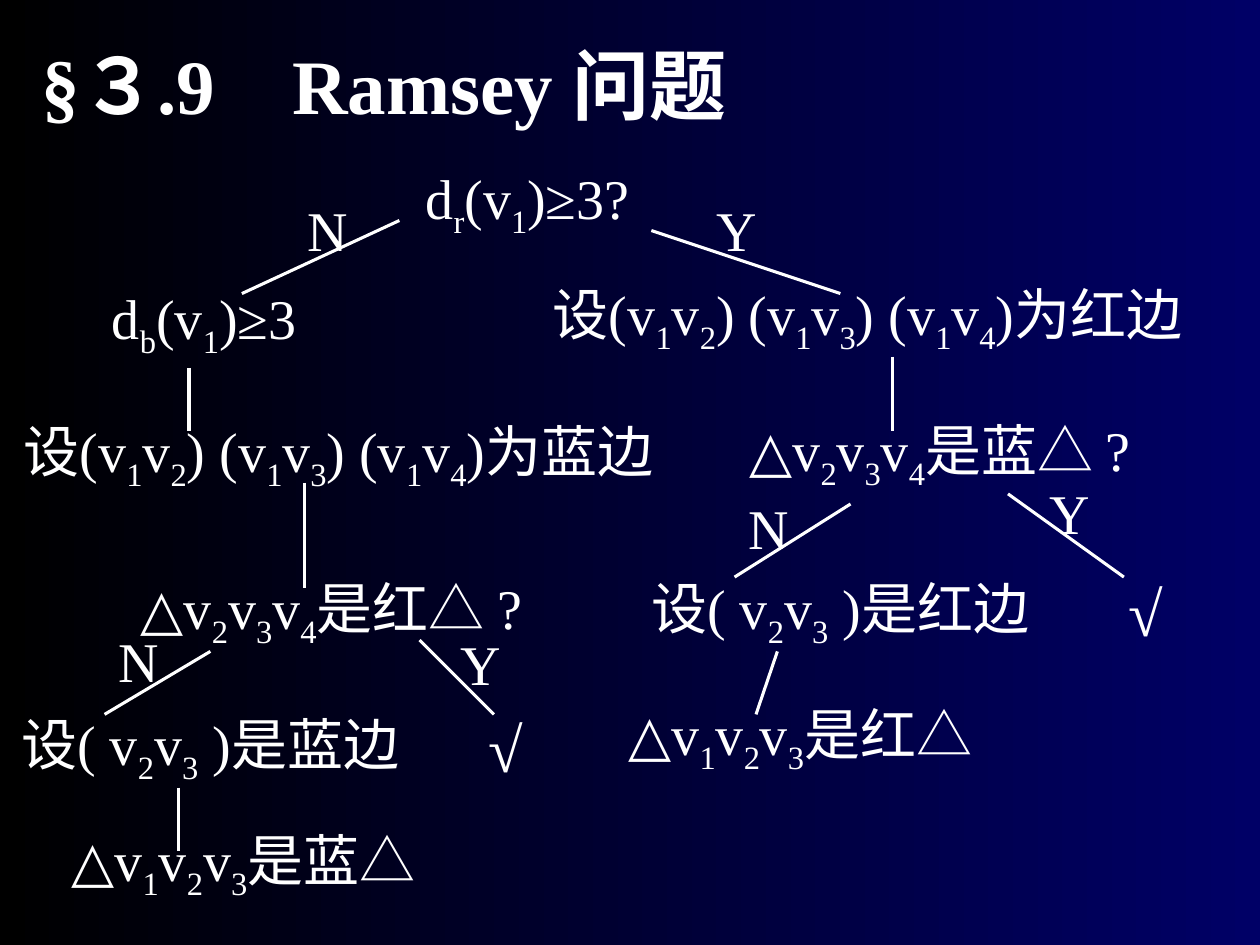
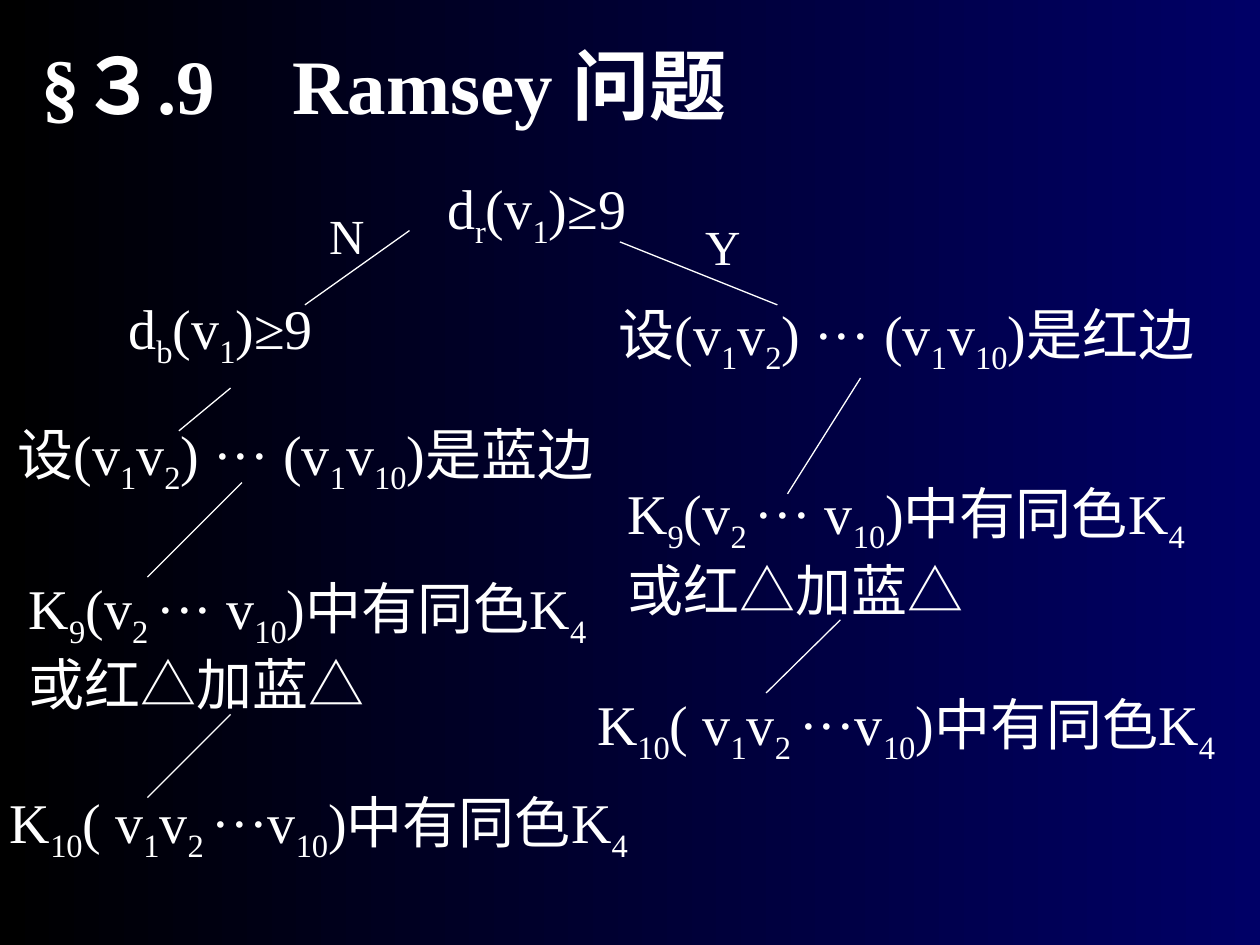
from pptx import Presentation
from pptx.dml.color import RGBColor
from pptx.enum.shapes import MSO_CONNECTOR as Link
from pptx.enum.text import MSO_ANCHOR as Anchor, MSO_AUTO_SIZE as Fit, PP_ALIGN as Align
from pptx.oxml.ns import qn
from pptx.util import Inches, Pt
from lxml import etree

WHITE = RGBColor(0xFF, 0xFF, 0xFF)
NAVY = RGBColor(0x00, 0x00, 0x66)
BLACK = RGBColor(0x00, 0x00, 0x00)
FACE = "Times New Roman"
TITLE = "§３.9　Ramsey 问题"
SLACK = 0.02  # spare width that keeps each label on one line

# Parts as (text, width, height, size); underscores enclose subscripts
ROW, PAIR = 0.71, 1.24
NO, YES = ("N", 0.52, 0.64, 32), ("Y", 0.52, 0.64, 32)
SMALL_NO, SMALL_YES = ("N", 0.48, 0.57, 28), ("Y", 0.48, 0.57, 28)
CHECK = ("√", 0.47, 0.7, 36)


def style(font, size, bold=False):
    font.name, font.size, font.bold = FACE, Pt(size), bold
    font.color.rgb = WHITE


def paint(master):
    fill = master.background.fill
    fill.gradient()
    fill.gradient_angle = 180
    for stop, color in zip(fill.gradient_stops, (NAVY, BLACK)):
        stop.color.rgb = color


def add_page(deck):
    slide = deck.slides.add_slide(deck.slide_layouts[5])
    title = slide.shapes.title
    title.left, title.top = Inches(0.23), Inches(0.25)
    title.width, title.height = Inches(8.85), Inches(0.84)
    frame = title.text_frame
    frame.text = TITLE
    frame.auto_size = Fit.NONE
    frame.vertical_anchor = Anchor.TOP
    line = frame.paragraphs[0]
    line.alignment = Align.LEFT
    style(line.runs[0].font, 44, True)
    return slide


def add_math(slide, x, y, text, width, height, size=32):
    area = (x, y, width + SLACK, height)
    frame = slide.shapes.add_textbox(*map(Inches, area)).text_frame
    frame.word_wrap = False
    frame.auto_size = Fit.SHAPE_TO_FIT_TEXT
    for row, words in enumerate(text.split("\n")):
        line = frame.add_paragraph() if row else frame.paragraphs[0]
        for i, part in enumerate(words.split("_")):
            if not part:
                continue
            run = line.add_run()
            run.text = part
            style(run.font, size)
            if i % 2:
                run.font._element.set("baseline", "-25000")


def add_line(slide, x1, y1, x2, y2, weight):
    line = slide.shapes.add_connector(Link.STRAIGHT, *map(Inches, (x1, y1, x2, y2)))
    line.line.color.rgb = WHITE
    line.line.width = Pt(weight)
    etree.SubElement(line._element.spPr, qn("a:effectLst"))


def place(slide, box, parts, spots, links, weight):
    """Put parts and links at offsets from the corner of the box."""
    left, top = box
    for part, (x, y) in zip(parts, spots):
        add_math(slide, left + x, top + y, *part)
    for x1, y1, x2, y2 in links:
        add_line(slide, left + x1, top + y1, left + x2, top + y2, weight)


# Opening test: red degree, then blue degree
def add_root(slide, box, count, mark, signs, spots, links, weight):
    parts = [
        (f"d_r_(v_1_)≥{count}{mark}", 1.82 if mark else 1.62, ROW),
        (f"d_b_(v_1_)≥{count}", 1.66, ROW),
        *signs,
    ]
    place(slide, box, parts, spots, links, weight)


# Branch with three edges of one hue
def add_three(slide, box, hue, other, spots, links):
    edges = " ".join(f"(v_1_v_{n}_)" for n in (2, 3, 4))
    parts = [
        (f"设{edges}为{hue}边", 5.41, ROW),
        (f"△v_2_v_3_v_4_是{other}△ ?", 3.54, ROW),
        (f"设( v_2_v_3_ )是{hue}边", 3.41, ROW),
        (f"△v_1_v_2_v_3_是{hue}△", 3.14, ROW),
        CHECK, NO, YES,
    ]
    place(slide, box, parts, spots, links, 1.75)


# Branch with nine edges of one hue
def add_nine(slide, box, hue, spots, links):
    parts = [
        (f"设(v_1_v_2_) ··· (v_1_v_10_)是{hue}边", 4.98, ROW),
        ("K_9_(v_2 _··· v_10_)中有同色K_4_\n或红△加蓝△", 4.84, PAIR),
        ("K_10_( v_1_v_2 _···v_10_)中有同色K_4_", 5.32, ROW),
    ]
    place(slide, box, parts, spots, links, 0.75)


def add_first(deck):
    slide = add_page(deck)
    add_root(slide, (0, 1.25), 3, "?", (NO, YES),
             [(3.28, 0), (0.79, 0.95), (2.34, 0.25), (5.59, 0.25)],
             [(3.17, 0.5, 1.92, 1.08), (5.17, 0.58, 6.67, 1.08),
              (1.5, 1.67, 1.5, 2.17)], 1.75)
    add_three(slide, (0, 3.25), "蓝", "红",
              [(0.09, 0.01), (1.02, 1.25), (0.07, 2.33), (0.47, 3.25),
               (3.78, 2.33), (0.84, 1.67), (3.56, 1.7)],
              [(2.42, 0.58, 2.42, 1.42), (1.67, 1.92, 0.83, 2.42),
               (3.33, 1.83, 3.92, 2.42), (1.42, 3, 1.42, 3.5)])
    add_three(slide, (4, 2), "红", "蓝",
              [(0.29, 0.17), (1.85, 1.25), (1.07, 2.5), (0.89, 3.5),
               (4.86, 2.5), (1.84, 1.87), (4.23, 1.75)],
              [(3.08, 0.83, 3.08, 1.42), (2.75, 2, 1.83, 2.58),
               (4, 1.92, 4.92, 2.58), (2.17, 3.17, 2, 3.67)])


def add_second(deck):
    slide = add_page(deck)
    add_root(slide, (0, 1.33), 9, "", (SMALL_NO, SMALL_YES),
             [(3.45, 0), (0.92, 0.95), (2.52, 0.25), (5.5, 0.34)],
             [(3.25, 0.5, 2.42, 1.09), (4.92, 0.59, 6.17, 1.09),
              (1.83, 1.75, 1.42, 2.09)], 0.75)
    add_nine(slide, (0, 3.25), "蓝",
             [(0.04, 0.03), (0.13, 1.25), (-0.02, 2.95)],
             [(1.92, 0.58, 1.17, 1.33), (1.83, 2.42, 1.17, 3.08)])
    add_nine(slide, (4.5, 2.25), "红",
             [(0.31, 0.08), (0.38, 1.5), (0.14, 3.17)],
             [(2.33, 0.75, 1.75, 1.67), (2.17, 2.67, 1.58, 3.25)])


def main():
    deck = Presentation()
    deck.slide_width, deck.slide_height = Inches(10), Inches(7.5)
    paint(deck.slide_master)
    add_first(deck)
    add_second(deck)
    deck.save("out.pptx")


if __name__ == "__main__":
    main()
